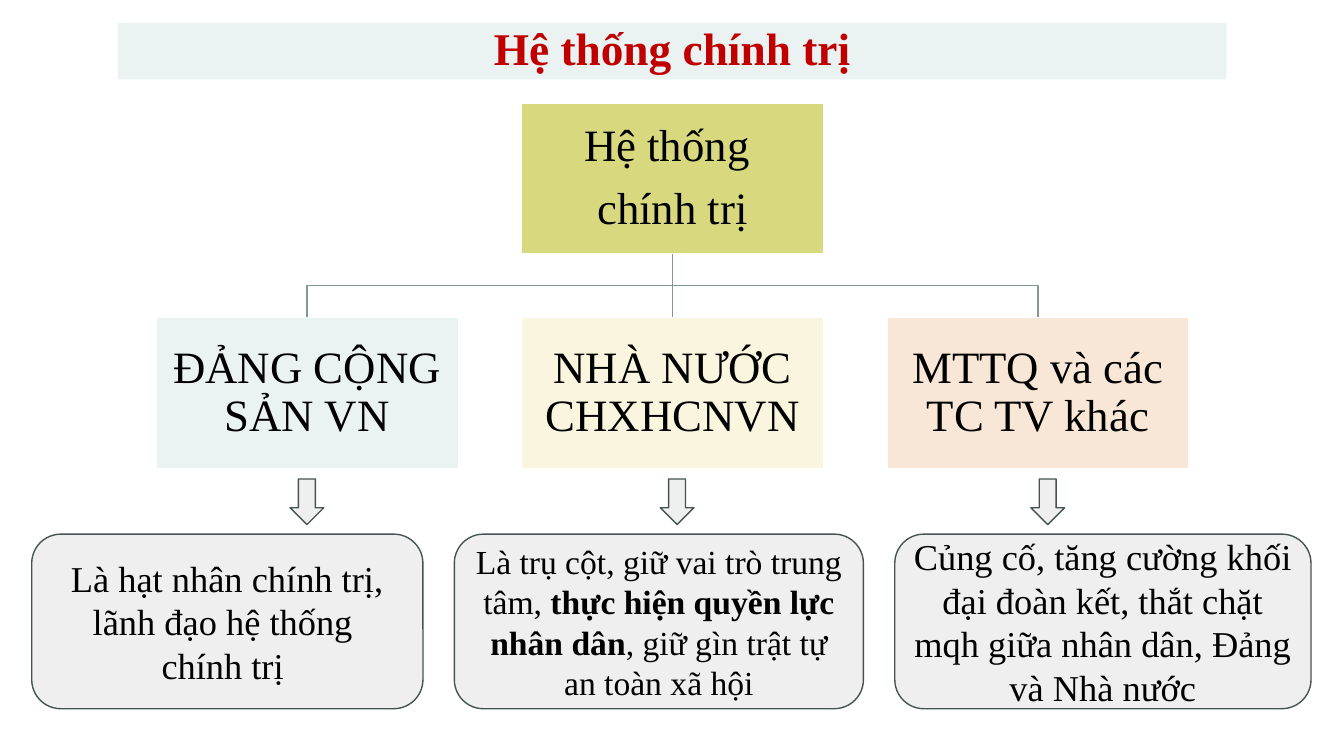
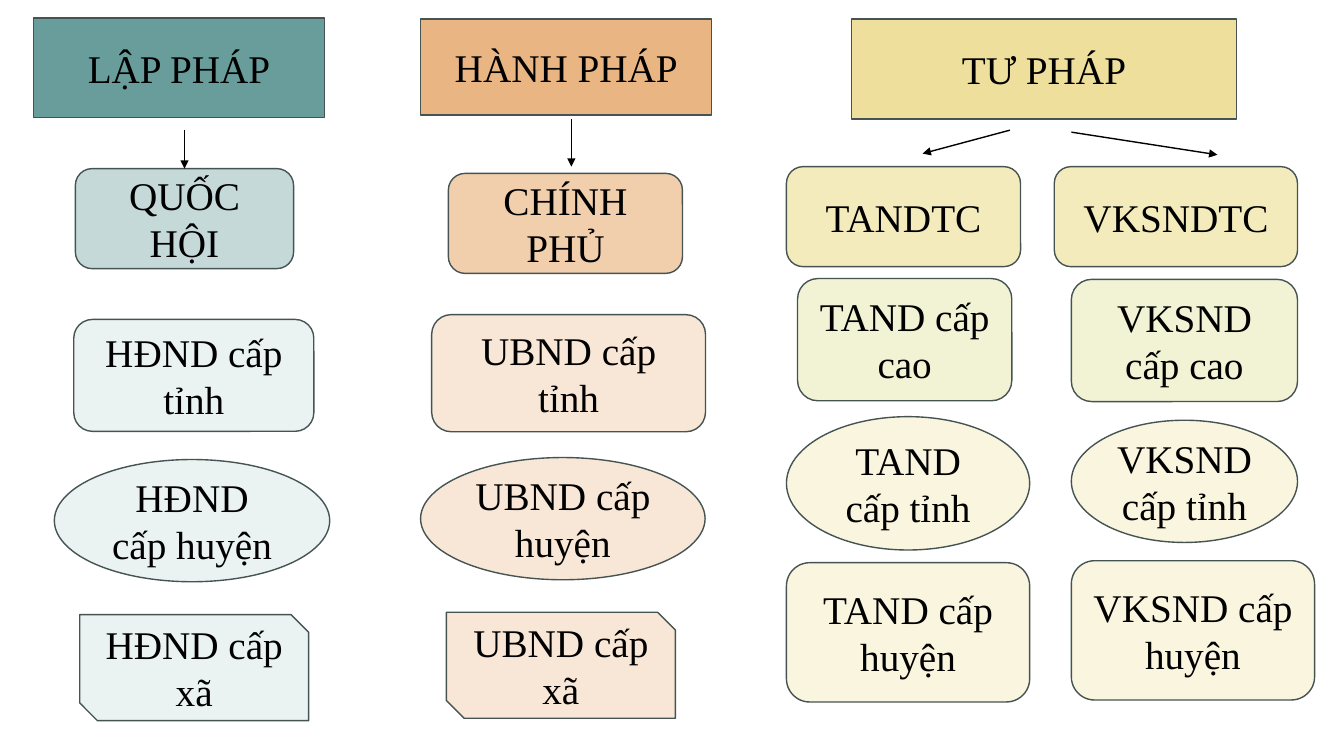
import lxml.etree
import pptx
import pptx.dml.color
import pptx.enum.shapes
import pptx.enum.text
import pptx.oxml.ns
import pptx.util

Cm = pptx.util.Cm
Pt = pptx.util.Pt
SHAPE = pptx.enum.shapes.MSO_SHAPE
STRAIGHT = pptx.enum.shapes.MSO_CONNECTOR.STRAIGHT
qn = pptx.oxml.ns.qn

FONT = "Times New Roman"
COLOURS = {
    "text": "000000",
    "title": "C00000",
    "white": "FFFFFF",
    "outline": "455453",
    "tree": "7E9998",
    "grey": "EEEFEE",
    "olive": "D8D97F",
    "olive pale": "F2F2D4",
    "teal": "689D9B",
    "teal light": "C4D9D8",
    "teal pale": "EBF2F2",
    "orange": "E9B683",
    "orange light": "F1CFAD",
    "orange pale": "F8E7D6",
    "yellow": "EEE09C",
    "yellow light": "F4EBBD",
    "yellow pale": "F9F5DE",
}


def rgb(name):
    return pptx.dml.color.RGBColor.from_string(COLOURS[name])


def add_node(slide, kind, box, fill, outline="outline"):
    """Add a filled shape; box is left, top, width, height in centimetres."""
    node = slide.shapes.add_shape(kind, *map(Cm, box))
    node.shadow.inherit = False
    node.fill.solid()
    node.fill.fore_color.rgb = rgb(fill)
    if outline:
        node.line.color.rgb = rgb(outline)
        node.line.width = Pt(1)
    else:
        node.line.fill.background()
    return node


def write(node, text, size, colour="text", bold=False, spacing=None, after=0, inset=None):
    """Centre text in a node; passages between ** marks are bold."""
    frame = node.text_frame
    frame.word_wrap = True
    frame.vertical_anchor = pptx.enum.text.MSO_ANCHOR.MIDDLE
    if inset is not None:
        frame.margin_left = frame.margin_right = Cm(inset)
        frame.margin_top = frame.margin_bottom = Cm(inset)
    for index, line in enumerate(text.split("\n")):
        paragraph = frame.add_paragraph() if index else frame.paragraphs[0]
        paragraph.alignment = pptx.enum.text.PP_ALIGN.CENTER
        paragraph.space_after = Pt(after)
        if spacing:
            paragraph.line_spacing = spacing
        first, *rest = line.split("**")
        paragraph.text = first
        for passage in rest:
            paragraph.add_run().text = passage
        for position, run in enumerate(paragraph.runs):
            run.font.name = FONT
            run.font.size = Pt(size)
            run.font.bold = bold or position % 2 == 1
            run.font.color.rgb = rgb(colour)


def add_line(slide, start, end, colour):
    line = slide.shapes.add_connector(STRAIGHT, *start, *end)
    line.line.color.rgb = rgb(colour)
    line.line.width = Pt(1)
    properties = line._element.find(qn("p:spPr"))
    lxml.etree.SubElement(properties, qn("a:effectLst"))
    return line


def add_arrow(slide, start, end):
    arrow = add_line(slide, start, end, "text")
    outline = arrow._element.find(qn("p:spPr")).find(qn("a:ln"))
    lxml.etree.SubElement(outline, qn("a:tailEnd"), type="triangle")
    return arrow


def top_middle(node):
    return node.left + node.width // 2, node.top


def bottom_middle(node):
    return node.left + node.width // 2, node.top + node.height


def add_title(slide, text):
    band = add_node(slide, SHAPE.RECTANGLE, (2.97, 0.58, 27.94, 1.42), "teal pale", None)
    write(band, text, 32.4, "title", bold=True, spacing=0.9)


def add_tree_box(slide, left, top, text, fill):
    box = add_node(slide, SHAPE.RECTANGLE, (left, top, 7.62, 3.8), fill, "white")
    write(box, text, 32, spacing=0.9, after=11, inset=0.05)
    return box


def join_branch(slide, root, branch):
    start, end = bottom_middle(root), top_middle(branch)
    if start[0] == end[0]:
        trunk = add_line(slide, start, end, "tree")
        trunk.begin_connect(root, 2)
        trunk.end_connect(branch, 0)
        return
    bend = (start[1] + end[1]) // 2
    builder = slide.shapes.build_freeform(*start, scale=1.0)
    builder.add_line_segments([(start[0], bend), (end[0], bend), end], close=False)
    elbow = builder.convert_to_shape()
    elbow.shadow.inherit = False
    elbow.fill.background()
    elbow.line.color.rgb = rgb("tree")
    elbow.line.width = Pt(1)


def add_branch(slide, left, top, name, fill, arrow_dx, role):
    """Add a tree box, the block arrow under it and the rounded box of its role."""
    role_text, size, role_dx, role_width = role
    branch = add_tree_box(slide, left, top, name, fill)
    add_node(slide, SHAPE.DOWN_ARROW, (left + arrow_dx, top + 4.07, 0.85, 1.15), "grey")
    role_box = add_node(slide, SHAPE.ROUNDED_RECTANGLE,
                        (left + role_dx, top + 5.46, role_width, 4.4), "grey")
    write(role_box, role_text, size)
    return branch


def add_political_system(slide):
    add_title(slide, "Hệ thống chính trị")
    left, top, step = 3.93, 8, 9.21
    root = add_tree_box(slide, left + step, 2.6, "Hệ thống \nchính trị", "olive")
    branches = [
        ("ĐẢNG CỘNG SẢN VN", "teal pale", 3.38,
         ("Là hạt nhân chính trị, lãnh đạo hệ thống \nchính trị ", 26, -3.13, 9.86)),
        ("NHÀ NƯỚC CHXHCNVN", "yellow pale", 3.5,
         ("Là trụ cột, giữ vai trò trung tâm, **thực hiện quyền lực nhân dân**"
          ", giữ gìn trật tự an toàn xã hội", 24, -1.69, 10.31)),
        ("MTTQ và các TC TV khác", "orange pale", 3.63,
         ("Củng cố, tăng cường khối đại đoàn kết, thắt chặt mqh giữa nhân dân, "
          "Đảng và Nhà nước", 26, 0.2, 10.49)),
    ]
    for index, branch in enumerate(branches):
        join_branch(slide, root, add_branch(slide, left + index * step, top, *branch))


def add_power_column(slide, left, top, bodies, arrows=()):
    """Place bodies and arrows, given as offsets from left and top."""
    nodes = []
    for text, kind, fill, (dx, dy, width, height) in bodies:
        node = add_node(slide, kind, (left + dx, top + dy, width, height), fill)
        write(node, text, 28)
        nodes.append(node)
    for x1, y1, x2, y2 in arrows:
        end = Cm(left + x2), Cm(top + y2)
        arrow = add_arrow(slide, (Cm(left + x1), Cm(top + y1)), end)
        for node in nodes:
            if all(abs(a - b) < Cm(0.02) for a, b in zip(top_middle(node), end)):
                arrow.end_connect(node, 0)


def add_state_powers(slide):
    rect, rounded = SHAPE.RECTANGLE, SHAPE.ROUNDED_RECTANGLE
    oval, snipped = SHAPE.OVAL, SHAPE.SNIP_2_DIAG_RECTANGLE
    add_power_column(slide, 0.84, 0.45, [
        ("LẬP PHÁP", rect, "teal", (0, 0, 7.34, 2.52)),
        ("QUỐC HỘI", rounded, "teal light", (1.06, 3.8, 5.5, 2.52)),
        ("HĐND cấp tỉnh", rounded, "teal pale", (1.02, 7.6, 6.05, 2.82)),
        ("HĐND cấp huyện", oval, "teal pale", (0.53, 11.13, 6.94, 3.08)),
        ("HĐND cấp xã", snipped, "teal pale", (1.17, 15.04, 5.77, 2.67)),
    ], [(3.81, 2.83, 3.81, 3.8)])
    add_power_column(slide, 10.6, 0.48, [
        ("HÀNH PHÁP", rect, "orange", (0, 0, 7.34, 2.42)),
        ("CHÍNH PHỦ", rounded, "orange light", (0.7, 3.89, 5.9, 2.52)),
        ("UBND cấp tỉnh", rounded, "orange pale", (0.28, 7.45, 6.9, 2.95)),
        ("UBND cấp huyện", oval, "orange pale", (0, 11.05, 7.17, 3.08)),
        ("UBND cấp xã", snipped, "orange pale", (0.65, 14.95, 5.77, 2.67)),
    ], [(3.8, 2.52, 3.8, 3.72)])
    add_power_column(slide, 21.46, 0.48, [
        ("TƯ PHÁP", rect, "yellow", (0, 0, 9.7, 2.52)),
    ], [(3.99, 2.8, 1.79, 3.39), (5.54, 2.85, 9.22, 3.42)])
    add_power_column(slide, 19.82, 4.2, [
        ("TANDTC", rounded, "yellow light", (0, 0, 5.9, 2.52)),
        ("TAND cấp cao", rounded, "olive pale", (0.28, 2.82, 5.4, 3.08)),
        ("TAND cấp tỉnh", oval, "yellow pale", (0, 6.3, 6.13, 3.36)),
        ("TAND cấp huyện", rounded, "yellow pale", (0, 9.98, 6.13, 3.51)),
    ])
    add_power_column(slide, 26.57, 4.2, [
        ("VKSNDTC", rounded, "yellow light", (0, 0, 6.13, 2.52)),
        ("VKSND cấp cao", rounded, "olive pale", (0.43, 2.84, 5.7, 3.08)),
        ("VKSND cấp tỉnh", oval, "yellow pale", (0.43, 6.39, 5.7, 3.08)),
        ("VKSND cấp huyện", rounded, "yellow pale", (0.43, 9.93, 6.13, 3.51)),
    ])


def main():
    presentation = pptx.Presentation()
    presentation.slide_width = Cm(33.87)
    presentation.slide_height = Cm(19.05)
    blank = presentation.slide_layouts[6]
    for fill_slide in (add_political_system, add_state_powers):
        fill_slide(presentation.slides.add_slide(blank))
    presentation.save("out.pptx")


if __name__ == "__main__":
    main()
